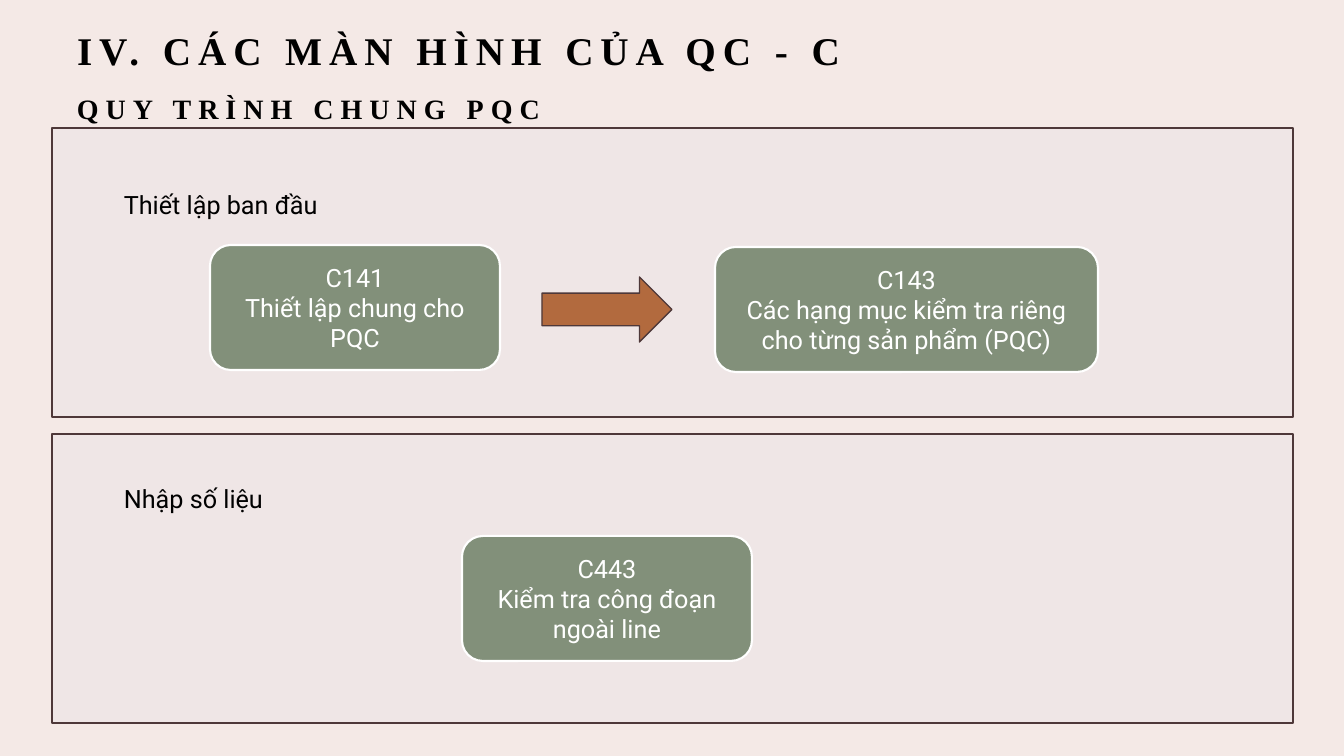
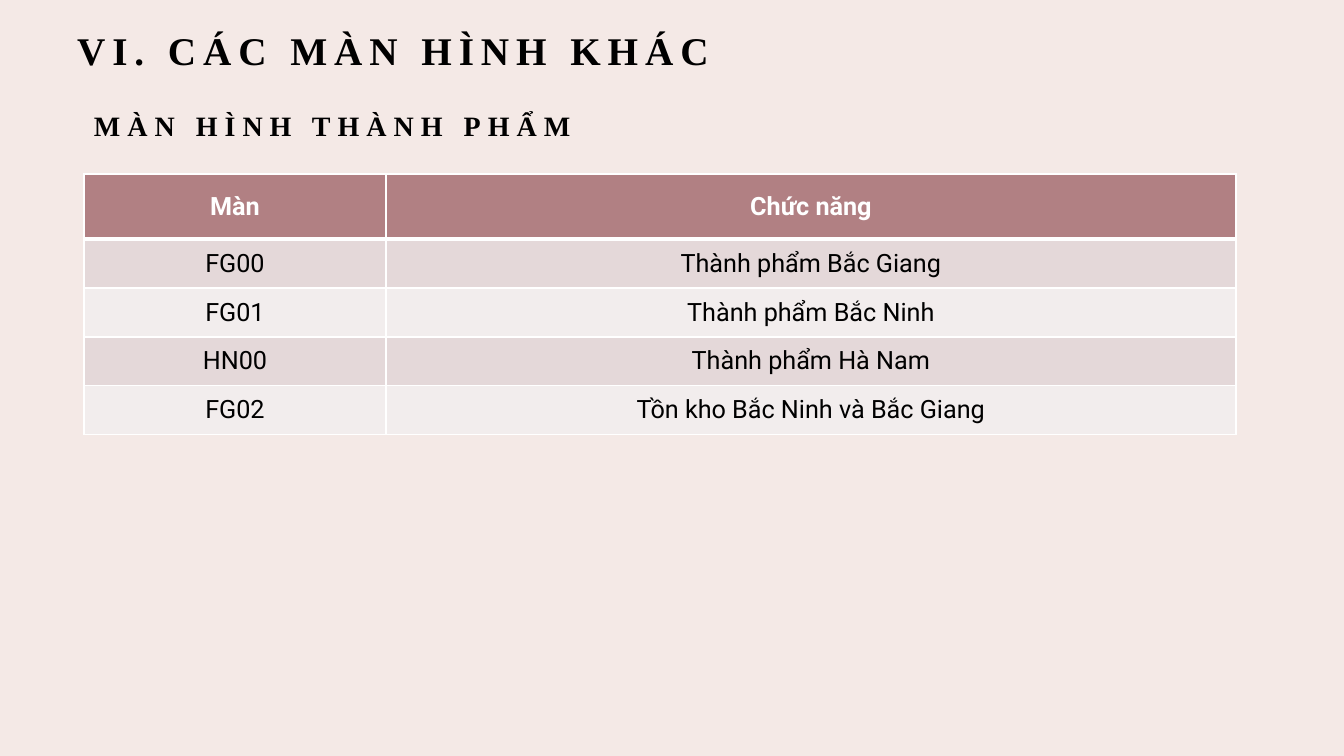
from lxml import etree
from pptx import Presentation
from pptx.dml.color import RGBColor
from pptx.enum.shapes import MSO_SHAPE
from pptx.enum.text import MSO_ANCHOR, MSO_AUTO_SIZE, PP_ALIGN
from pptx.oxml.ns import qn
from pptx.util import Emu, Pt

WIDE, HIGH = 1344, 756
SCALE = 12192000 / WIDE

ROSE = RGBColor(0xF4, 0xE9, 0xE6)
PALE = RGBColor(0xEF, 0xE6, 0xE6)
PLUM = RGBColor(0x4E, 0x38, 0x39)
SAGE = RGBColor(0x82, 0x90, 0x7A)
RUST = RGBColor(0xB2, 0x6A, 0x3E)
MAUVE = RGBColor(0xB1, 0x80, 0x83)
BANDS = (RGBColor(0xE4, 0xD8, 0xD9), RGBColor(0xF2, 0xED, 0xED))
WHITE = RGBColor(0xFF, 0xFF, 0xFF)
BLACK = RGBColor(0x00, 0x00, 0x00)

SERIF, SANS = "Times New Roman", "Roboto"
RECT = MSO_SHAPE.RECTANGLE
ROUND = MSO_SHAPE.ROUNDED_RECTANGLE
ARROW = MSO_SHAPE.RIGHT_ARROW
LEFT, CENTER = PP_ALIGN.LEFT, PP_ALIGN.CENTER
TOP, MIDDLE = MSO_ANCHOR.TOP, MSO_ANCHOR.MIDDLE
FIXED = MSO_AUTO_SIZE.NONE


def px(num):
    return Emu(round(num * SCALE))


def write(frame, lines, color, size=18, face=SANS, bold=False, align=CENTER):
    for i, line in enumerate(lines):
        para = frame.paragraphs[0] if i == 0 else frame.add_paragraph()
        para.alignment = align
        run = para.add_run()
        run.text = line
        font = run.font
        font.name, font.size, font.bold = face, Pt(size), bold
        font.color.rgb = color


def set_frame(frame, anchor):
    frame.word_wrap = True
    frame.auto_size = FIXED
    frame.vertical_anchor = anchor


def add_text(slide, box):
    return slide.shapes.add_textbox(*map(px, box))


def add_form(slide, kind, box, fill, line, width=1):
    form = slide.shapes.add_shape(kind, *map(px, box))
    form.shadow.inherit = False
    form.fill.solid()
    form.fill.fore_color.rgb = fill
    form.line.color.rgb = line
    form.line.width = Pt(width)
    return form


def add_head(shape, box, text, size):
    shape.left, shape.top, shape.width, shape.height = map(px, box)
    frame = shape.text_frame
    set_frame(frame, MIDDLE)
    write(frame, [text], BLACK, size, SERIF, True, LEFT)
    para = frame.paragraphs[0]
    para.line_spacing = 1.2
    para.runs[0].font._element.set("spc", "500")


def add_page(deck, title, topic, left, top):
    slide = deck.slides.add_slide(deck.slide_layouts[5])
    add_head(slide.shapes.title, (67, 7, 1241, 76), title, 28)
    box = (left, top, 1241, 72)
    add_head(add_text(slide, box), box, topic, 20)
    return slide


def add_panel(slide, box, drop, label, steps):
    left, top = box[:2]
    add_form(slide, RECT, box, PALE, PLUM)
    note = add_text(slide, (left + 62, top + drop, 290, 40))
    set_frame(note.text_frame, TOP)
    write(note.text_frame, [label], BLACK, align=LEFT)
    for x, y, width, lines in steps:
        spot = (left + x, top + y, width, 125)
        step = add_form(slide, ROUND, spot, SAGE, WHITE, 1.5)
        set_frame(step.text_frame, MIDDLE)
        write(step.text_frame, lines, WHITE)


def add_edge(cell, side, width):
    edge = etree.SubElement(cell._tc.get_or_add_tcPr(), qn("a:ln" + side))
    edge.set("w", str(Pt(width)))
    fill = etree.SubElement(edge, qn("a:solidFill"))
    etree.SubElement(fill, qn("a:srgbClr")).set("val", str(WHITE))


def add_grid(slide, left, top, cols, tall, high, rows):
    full = tall + high * (len(rows) - 1)
    box = map(px, (left, top, sum(cols), full))
    table = slide.shapes.add_table(len(rows), len(cols), *box).table
    for col, width in zip(table.columns, cols):
        col.width = px(width)
    for i, row in enumerate(rows):
        head = i == 0
        table.rows[i].height = px(tall if head else high)
        for j, text in enumerate(row):
            cell = table.cell(i, j)
            for side in "LRTB":
                thick = (i, side) in ((0, "B"), (1, "T"))
                add_edge(cell, side, 3 if thick else 1)
            cell.fill.solid()
            cell.fill.fore_color.rgb = MAUVE if head else BANDS[(i - 1) % 2]
            cell.vertical_anchor = MIDDLE
            write(cell.text_frame, [text], WHITE if head else BLACK, bold=head)


def add_flow(deck):
    slide = add_page(deck, "IV. CÁC MÀN HÌNH CỦA QC - C",
                     "QUY TRÌNH CHUNG PQC", 67, 69)
    left, top, width, high, gap = 52, 128, 1241, 289, 17
    add_panel(slide, (left, top, width, high), 56, "Thiết lập ban đầu", [
        (158, 117, 290, ["C141", "Thiết lập chung cho PQC"]),
        (663, 119, 383,
         ["C143", "Các hạng mục kiểm tra riêng cho từng sản phẩm (PQC)"]),
    ])
    add_form(slide, ARROW, (left + 490, top + 149, 130, 65), RUST, PLUM)
    add_panel(slide, (left, top + high + gap, width, high), 44,
              "Nhập số liệu", [
        (410, 102, 290, ["C443", "Kiểm tra công đoạn ngoài line"]),
    ])


def add_list(deck):
    slide = add_page(deck, "VI. CÁC MÀN HÌNH KHÁC",
                     "MÀN HÌNH THÀNH PHẨM", 84, 86)
    add_grid(slide, 84, 174, (302, 850), 65, 49, [
        ("Màn", "Chức năng"),
        ("FG00", "Thành phẩm Bắc Giang"),
        ("FG01", "Thành phẩm Bắc Ninh"),
        ("HN00", "Thành phẩm Hà Nam"),
        ("FG02", "Tồn kho Bắc Ninh và Bắc Giang"),
    ])


def main():
    deck = Presentation()
    deck.slide_width, deck.slide_height = px(WIDE), px(HIGH)
    back = deck.slide_master.background.fill
    back.solid()
    back.fore_color.rgb = ROSE
    add_flow(deck)
    add_list(deck)
    deck.save("out.pptx")


if __name__ == "__main__":
    main()
